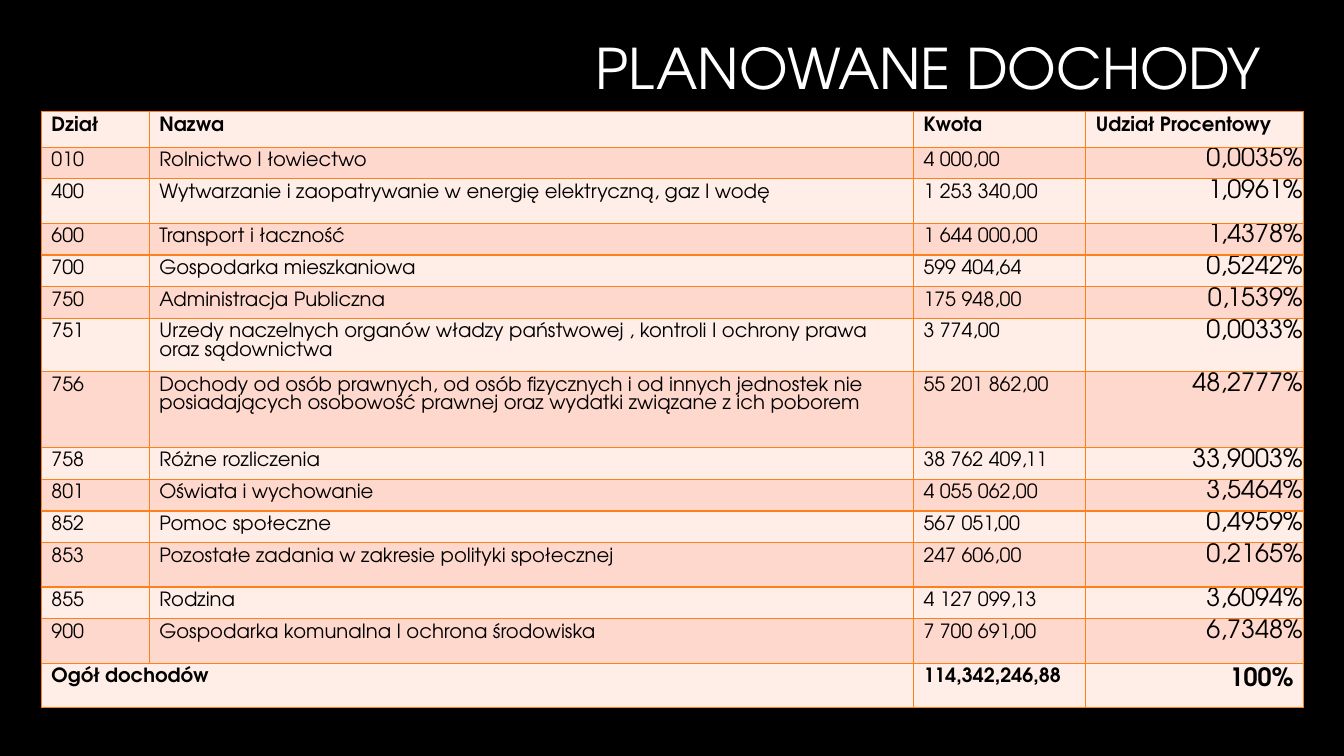
from lxml import etree
from pptx import Presentation
from pptx.dml.color import RGBColor
from pptx.enum.text import MSO_ANCHOR, PP_ALIGN
from pptx.oxml.ns import qn
from pptx.util import Inches, Pt

FONT = "TeX Gyre Adventor"
BLACK, WHITE, ORANGE = "000000", "FFFFFF", "FE801A"
BAND_FILLS = ("FFEDE8", "FFD8CD")
COLUMN_WIDTHS = (1.07, 7.58, 1.71, 2.16)
ROW_HEIGHT = 0.315
SPECIAL_HEIGHTS = {0: 0.35, 2: 0.44, 6: 0.53, 7: 0.75, 11: 0.44, 13: 0.44, 14: 0.44}
HEADER = ("Dział", "Nazwa", "Kwota", "Udział Procentowy")
INCOME = (
    ("010", "Rolnictwo I łowiectwo", "4 000,00", "0,0035%"),
    ("400", "Wytwarzanie i zaopatrywanie w energię elektryczną, gaz I wodę", "1 253 340,00", "1,0961%"),
    ("600", "Transport i łaczność", "1 644 000,00", "1,4378%"),
    ("700", "Gospodarka mieszkaniowa", "599 404,64", "0,5242%"),
    ("750", "Administracja Publiczna", "175 948,00", "0,1539%"),
    ("751", "Urzedy naczelnych organów władzy państwowej , kontroli I ochrony prawa "
     "oraz sądownictwa", "3 774,00", "0,0033%"),
    ("756", "Dochody od osób prawnych, od osób fizycznych i od innych jednostek nie "
     "posiadających osobowość prawnej oraz wydatki związane z ich poborem",
     "55 201 862,00", "48,2777%"),
    ("758", "Różne rozliczenia", "38 762 409,11", "33,9003%"),
    ("801", "Oświata i wychowanie", "4 055 062,00", "3,5464%"),
    ("852", "Pomoc społeczne", "567 051,00", "0,4959%"),
    ("853", "Pozostałe zadania w zakresie polityki społecznej", "247 606,00", "0,2165%"),
    ("855", "Rodzina", "4 127 099,13", "3,6094%"),
    ("900", "Gospodarka komunalna I ochrona środowiska", "7 700 691,00", "6,7348%"),
)
TOTAL = ("Ogół dochodów", "", "114,342,246,88", "100%")


def color(value):
    return RGBColor.from_string(value)


def write_text(text_frame, text, size=14, fill=BLACK, bold=False, align=PP_ALIGN.LEFT, spacing=None):
    paragraph = text_frame.paragraphs[0]
    paragraph.alignment = align
    if spacing:
        paragraph.line_spacing = spacing
    run = paragraph.add_run()
    run.text = text
    run.font.name = FONT
    run.font.size = Pt(size)
    run.font.bold = bold
    run.font.color.rgb = color(fill)


def format_cell(cell, fill):
    """Give a cell its borders and its fill."""
    properties = cell._tc.get_or_add_tcPr()
    for side in ("a:lnL", "a:lnR", "a:lnT", "a:lnB"):
        line = etree.SubElement(properties, qn(side), w=str(Pt(1)))
        solid = etree.SubElement(line, qn("a:solidFill"))
        etree.SubElement(solid, qn("a:srgbClr"), val=ORANGE)
    cell.fill.solid()
    cell.fill.fore_color.rgb = color(fill)


def set_tight_margins(cell):
    cell.margin_left = cell.margin_right = cell.margin_top = Inches(0.01)
    cell.margin_bottom = 0


def add_title(slide, text):
    title = slide.shapes.title
    title.left, title.top = Inches(3.19), Inches(0)
    title.width, title.height = Inches(9.42), Inches(1.41)
    title.text_frame.vertical_anchor = MSO_ANCHOR.MIDDLE
    write_text(title.text_frame, text, size=40, fill=WHITE, align=PP_ALIGN.RIGHT, spacing=0.9)


def add_income_table(slide):
    rows = (HEADER, *INCOME, TOTAL)
    last_row, share_column = len(rows) - 1, len(HEADER) - 1
    frame = slide.shapes.add_table(len(rows), len(HEADER), Inches(0.41), Inches(1.11),
                                   Inches(12.52), Inches(6.1))
    table = frame.table
    for column, width in zip(table.columns, COLUMN_WIDTHS):
        column.width = Inches(width)
    for row_index, values in enumerate(rows):
        table.rows[row_index].height = Inches(SPECIAL_HEIGHTS.get(row_index, ROW_HEIGHT))
        emphasized = row_index in (0, last_row)
        for column_index, text in enumerate(values):
            cell = table.cell(row_index, column_index)
            format_cell(cell, BAND_FILLS[row_index % 2])
            is_share = column_index == share_column and row_index > 0
            if is_share and not emphasized:
                set_tight_margins(cell)
            if text:
                write_text(cell.text_frame, text, size=18 if is_share else 14, bold=emphasized,
                           align=PP_ALIGN.RIGHT if is_share else PP_ALIGN.LEFT)
    table.cell(last_row, 0).merge(table.cell(last_row, 1))


def main():
    presentation = Presentation()
    presentation.slide_width, presentation.slide_height = Inches(13.33), Inches(7.5)
    slide = presentation.slides.add_slide(presentation.slide_layouts[5])
    slide.background.fill.solid()
    slide.background.fill.fore_color.rgb = color(BLACK)
    add_title(slide, "PLANOWANE DOCHODY")
    add_income_table(slide)
    presentation.save("out.pptx")


if __name__ == "__main__":
    main()
